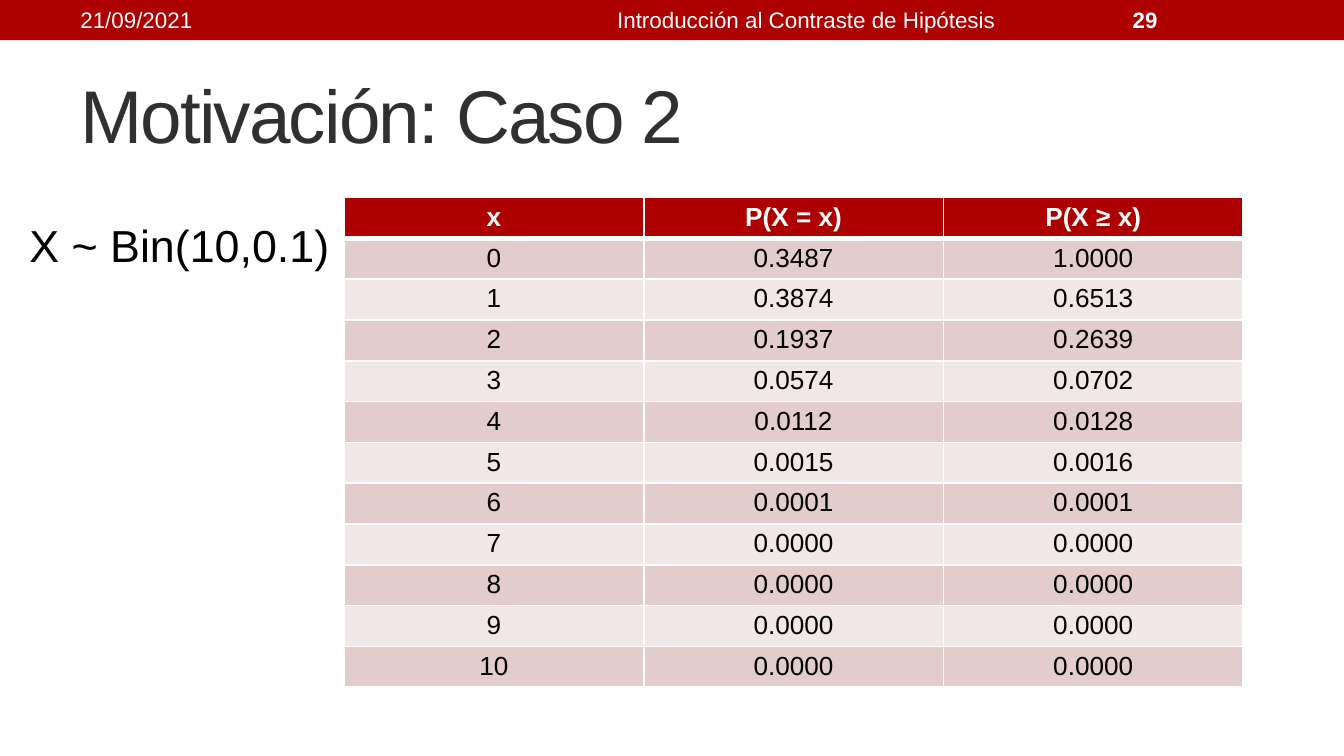
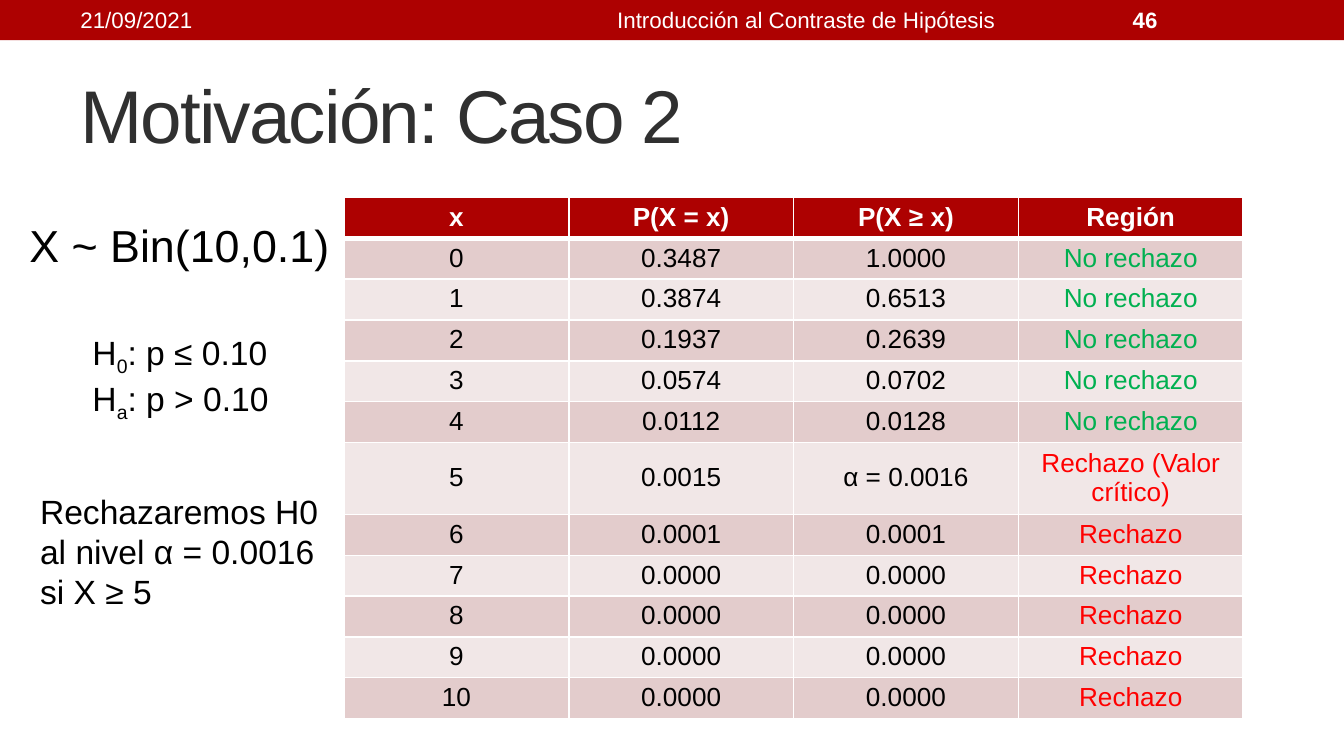
import math

import lxml.etree
import pptx
import pptx.dml.color
import pptx.enum.shapes
import pptx.enum.text
import pptx.oxml.ns
import pptx.util

Inches = pptx.util.Inches
Anchor = pptx.enum.text.MSO_ANCHOR
Align = pptx.enum.text.PP_ALIGN

FONT = "Arial"
RED = "AD0101"
WHITE = "FFFFFF"
BLACK = "000000"
TITLE_GRAY = "303030"
BANDS = ["F1E7E7", "E3CCCC"]
ACCEPT_GREEN = "00B050"
REJECT_RED = "FF0000"
TRIALS, PROBABILITY, CRITICAL_VALUE = 10, 0.1, 5


def color(value):
    return pptx.dml.color.RGBColor.from_string(value)


def write(frame, paragraphs, size, ink, bold=False, align=Align.LEFT, anchor=Anchor.TOP):
    frame.word_wrap = True
    frame.vertical_anchor = anchor
    for index, pieces in enumerate(paragraphs):
        paragraph = frame.paragraphs[0] if index == 0 else frame.add_paragraph()
        paragraph.alignment = align
        for text, attributes in pieces:
            run = paragraph.add_run()
            run.text = text
            run.font.name = FONT
            run.font.size = pptx.util.Pt(size)
            run.font.bold = bold
            run.font.color.rgb = color(ink)
            for name, value in attributes.items():
                run._r.get_or_add_rPr().set(name, value)


presentation = pptx.Presentation()
presentation.slide_width = Inches(10)
presentation.slide_height = Inches(10) * 9 // 16

masses = [
    math.comb(TRIALS, x) * PROBABILITY**x * (1 - PROBABILITY) ** (TRIALS - x)
    for x in range(TRIALS + 1)
]
probability_rows = [["x", "P(X = x)", "P(X ≥ x)"]]
for x, mass in enumerate(masses):
    probability_rows.append([str(x), f"{mass:.4f}", f"{sum(masses[x:]):.4f}"])

region_rows = [probability_rows[0] + ["Región"]]
for x, row in enumerate(probability_rows[1:]):
    region_rows.append(row + ["No rechazo" if x < CRITICAL_VALUE else "Rechazo"])
region_rows[CRITICAL_VALUE + 1][2:] = ["α = 0.0016", "Rechazo (Valor crítico)"]

distribution = ((0.12, 1.57, 2.44, 0.5), [[("X ~ Bin(10,0.1)", {})]], 24)
subscript = {"baseline": "-25000"}
hypotheses = (
    (0.59, 2.42, 1.97, 0.71),
    [
        [("H", {}), ("0", subscript), (": p ≤ 0.10", {})],
        [("H", {}), ("a", subscript), (": p > 0.10", {})],
    ],
    18,
)
decision = (
    (0.2, 3.6, 2.36, 1.01),
    [[("Rechazaremos H0 al nivel α = 0.0016 si X ≥ 5", {})]],
    18,
)

slides = [
    ("29", probability_rows, [distribution]),
    ("46", region_rows, [distribution, hypotheses, decision]),
]

for number, rows, notes in slides:
    slide = presentation.slides.add_slide(presentation.slide_layouts[6])

    band = slide.shapes.add_shape(
        pptx.enum.shapes.MSO_SHAPE.RECTANGLE, 0, 0, Inches(10), Inches(0.3)
    )
    band.shadow.inherit = False
    band.fill.solid()
    band.fill.fore_color.rgb = color(RED)
    band.line.fill.background()

    title = slide.shapes.add_textbox(Inches(0.5), Inches(0.44), Inches(9), Inches(0.81))
    title_text = [[("Motivación: Caso 2", {"spc": "-100"})]]
    write(title.text_frame, title_text, 40, TITLE_GRAY, anchor=Anchor.MIDDLE)

    table = slide.shapes.add_table(
        len(rows), len(rows[0]), Inches(2.56), Inches(1.47), Inches(6.69), Inches(0.3 * len(rows))
    ).table
    table.horz_banding = False
    for row_index, row in enumerate(rows):
        is_header = row_index == 0
        is_critical = row[-1].startswith("Rechazo (")
        table.rows[row_index].height = Inches(0.53 if is_critical else 0.3)
        for column_index, text in enumerate(row):
            cell = table.cell(row_index, column_index)
            cell.margin_left = cell.margin_right = Inches(0.1)
            cell.margin_top = Inches(0.03)
            cell.margin_bottom = Inches(0.04)
            cell.vertical_anchor = Anchor.MIDDLE
            properties = cell._tc.get_or_add_tcPr()
            for side in "LRTB":
                thick = (is_header and side == "B") or (row_index == 1 and side == "T")
                border = lxml.etree.SubElement(
                    properties,
                    pptx.oxml.ns.qn(f"a:ln{side}"),
                    w=str(pptx.util.Pt(3 if thick else 1)),
                )
                border_fill = lxml.etree.SubElement(border, pptx.oxml.ns.qn("a:solidFill"))
                lxml.etree.SubElement(border_fill, pptx.oxml.ns.qn("a:srgbClr"), val=WHITE)
            cell.fill.solid()
            cell.fill.fore_color.rgb = color(RED if is_header else BANDS[row_index % 2])
            if is_header:
                ink = WHITE
            elif text.startswith("No rechazo"):
                ink = ACCEPT_GREEN
            elif text.startswith("Rechazo"):
                ink = REJECT_RED
            else:
                ink = BLACK
            paragraph = cell.text_frame.paragraphs[0]
            paragraph.alignment = Align.CENTER
            run = paragraph.add_run()
            run.text = text
            run.font.name = FONT
            run.font.size = pptx.util.Pt(14)
            run.font.bold = is_header
            run.font.color.rgb = color(ink)

    for text, left, width, size, bold, align in [
        ("21/09/2021", 0.5, 3.17, 12, False, Align.LEFT),
        ("Introducción al Contraste de Hipótesis", 3.75, 4.5, 12, False, Align.CENTER),
        (number, 8.33, 1.17, 11.9, True, Align.LEFT),
    ]:
        label = slide.shapes.add_textbox(Inches(left), Inches(0.01), Inches(width), Inches(0.27))
        write(label.text_frame, [[(text, {})]], size, WHITE, bold, align, Anchor.MIDDLE)

    for position, paragraphs, size in notes:
        note = slide.shapes.add_textbox(*map(Inches, position))
        note.text_frame.auto_size = pptx.enum.text.MSO_AUTO_SIZE.SHAPE_TO_FIT_TEXT
        write(note.text_frame, paragraphs, size, BLACK)

presentation.save("out.pptx")
